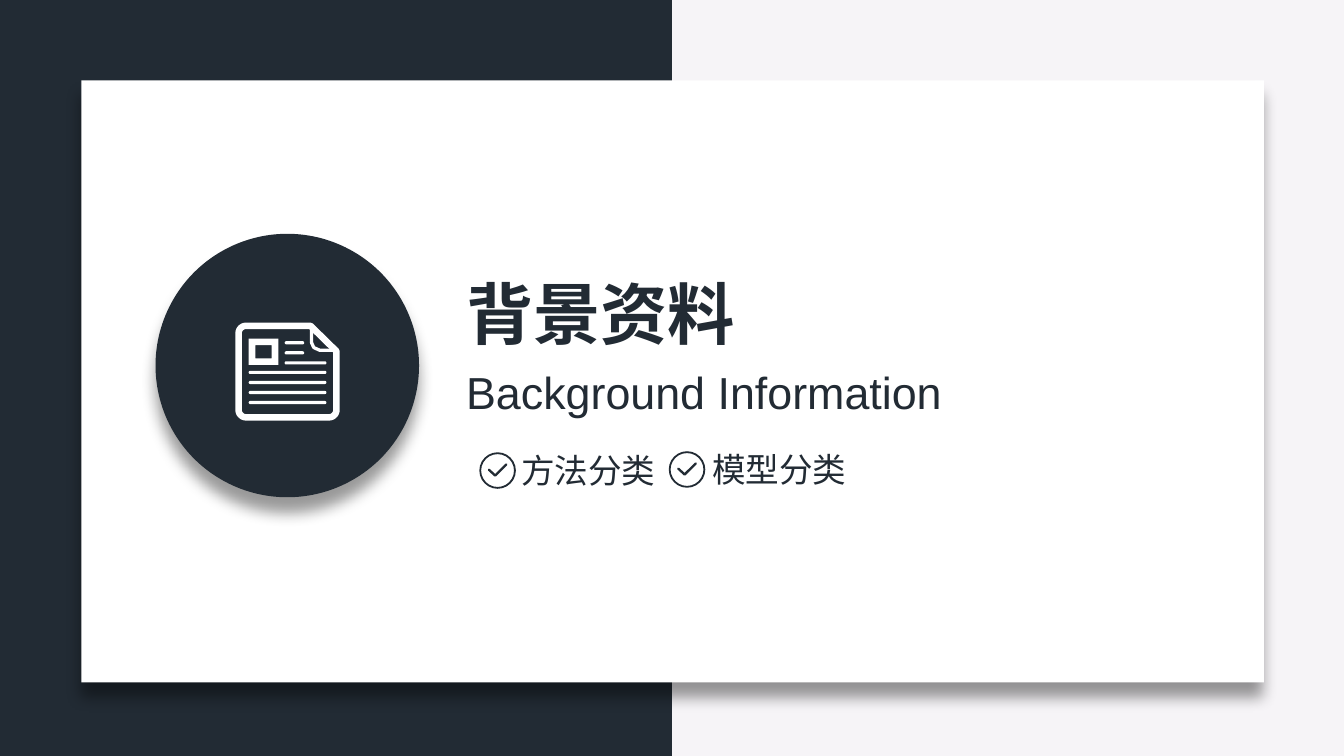
"""Build the section slide "Background Information" with its icon and two topics."""
import math

from lxml import etree
from pptx import Presentation
from pptx.dml.color import RGBColor
from pptx.enum.shapes import MSO_SHAPE
from pptx.enum.text import MSO_AUTO_SIZE
from pptx.oxml import parse_xml
from pptx.oxml.ns import nsdecls, qn
from pptx.util import Cm, Pt

RECTANGLE = MSO_SHAPE.RECTANGLE
OVAL = MSO_SHAPE.OVAL
DONUT = MSO_SHAPE.DONUT
FRAME = MSO_SHAPE.FRAME
ROUNDED = MSO_SHAPE.ROUNDED_RECTANGLE
GROW = MSO_AUTO_SIZE.SHAPE_TO_FIT_TEXT

NAVY = RGBColor(0x22, 0x2B, 0x34)
WHITE = RGBColor(0xFF, 0xFF, 0xFF)
PALE = RGBColor(0xF6, 0xF4, 0xF7)
CHINESE = "Noto Sans CJK SC"
SHADOW = (
    f'<a:effectLst {nsdecls("a")}><a:outerShdw blurRad="101600" dist="101600" '
    'dir="5400000" algn="t" rotWithShape="0"><a:srgbClr val="000000">'
    '<a:alpha val="40000"/></a:srgbClr></a:outerShdw></a:effectLst>'
)

deck = Presentation()
deck.slide_width, deck.slide_height = Cm(25.4), Cm(14.29)
page = deck.slides.add_slide(deck.slide_layouts[6])
page.background.fill.solid()
page.background.fill.fore_color.rgb = PALE


def add_filled(parent, kind, left, top, width, height, color):
    shape = parent.shapes.add_shape(kind, Cm(left), Cm(top), Cm(width), Cm(height))
    shape.shadow.inherit = False
    shape.fill.solid()
    shape.fill.fore_color.rgb = color
    shape.line.fill.background()
    return shape


def add_outline(parent, points, color, weight, closed=False):
    scaled = [(Cm(x), Cm(y)) for x, y in points]
    builder = parent.shapes.build_freeform(*scaled[0])
    builder.add_line_segments(scaled[1:], close=closed)
    shape = builder.convert_to_shape()
    shape.shadow.inherit = False
    shape.fill.background()
    shape.line.color.rgb = color
    shape.line.width = Pt(weight)
    line = shape.line._get_or_add_ln()
    line.set("cap", "rnd")
    etree.SubElement(line, qn("a:round"))
    return shape


add_filled(page, RECTANGLE, 0, 0, 12.7, 14.29, NAVY)
card = add_filled(page, RECTANGLE, 1.54, 1.52, 22.35, 11.38, WHITE)
disc = add_filled(page, OVAL, 2.94, 4.42, 4.98, 4.98, NAVY)
for raised in (card, disc):
    raised.shadow.inherit = True
    raised.fill._xPr.append(parse_xml(SHADOW))

texts = [
    ("背景资料", 8.56, 5.03, 8.31, 4.88, 36, CHINESE, True, True),
    ("Background Information", 8.56, 6.76, 9.55, 1.27, 24, "Arial", False, False),
    ("方法分类", 9.6, 8.38, 3.07, 1.02, 18, CHINESE, False, False),
    ("模型分类", 13.21, 8.36, 3.07, 1.02, 18, CHINESE, False, False),
]
for words, left, top, width, height, size, face, bold, wrap in texts:
    box = page.shapes.add_textbox(Cm(left), Cm(top), Cm(width), Cm(height))
    box.text_frame.word_wrap = wrap
    box.text_frame.auto_size = GROW
    para = box.text_frame.paragraphs[0]
    span = para.add_run()
    span.text = words
    span.font.name = face
    span.font.size = Pt(size)
    span.font.bold = bold
    span.font.color.rgb = NAVY
    east_asian = etree.SubElement(span.font._element, qn("a:ea"))
    east_asian.set("typeface", face)

for left, top in ((9.06, 8.55), (12.64, 8.53)):
    check = page.shapes.add_group_shape()
    ring = add_filled(check, DONUT, left, top, 0.69, 0.69, NAVY)
    ring.adjustments[0] = 0.05
    tick = [(left + 0.18, top + 0.33), (left + 0.3, top + 0.44), (left + 0.51, top + 0.23)]
    add_outline(check, tick, NAVY, 1.25)

article = page.shapes.add_group_shape()
radius = 0.14
sheet = [(5.87, 6.16), (6.36, 6.64)]
for x, y, start in ((6.22, 7.75, 0), (4.65, 7.75, 90), (4.65, 6.3, 180)):
    for step in range(0, 91, 15):
        angle = math.radians(start + step)
        sheet.append((x + radius * math.cos(angle), y + radius * math.sin(angle)))
add_outline(article, sheet, WHITE, 3.5, closed=True)
fold = [(5.89, 6.2), (5.89, 6.48), (5.93, 6.57), (6.04, 6.62), (6.34, 6.62)]
add_outline(article, fold, WHITE, 1.75)

photo = add_filled(article, FRAME, 4.7, 6.4, 0.56, 0.5, WHITE)
photo.adjustments[0] = 0.25
rows = [(5.38, 6.45, 0.37), (5.38, 6.64, 0.37), (5.38, 6.83, 0.79)]
rows += [(4.7, 7.01 + 0.19 * row, 1.47) for row in range(4)]
for left, top, width in rows:
    bar = add_filled(article, ROUNDED, left, top, width, 0.06, WHITE)
    bar.adjustments[0] = 0.5

deck.save("out.pptx")
